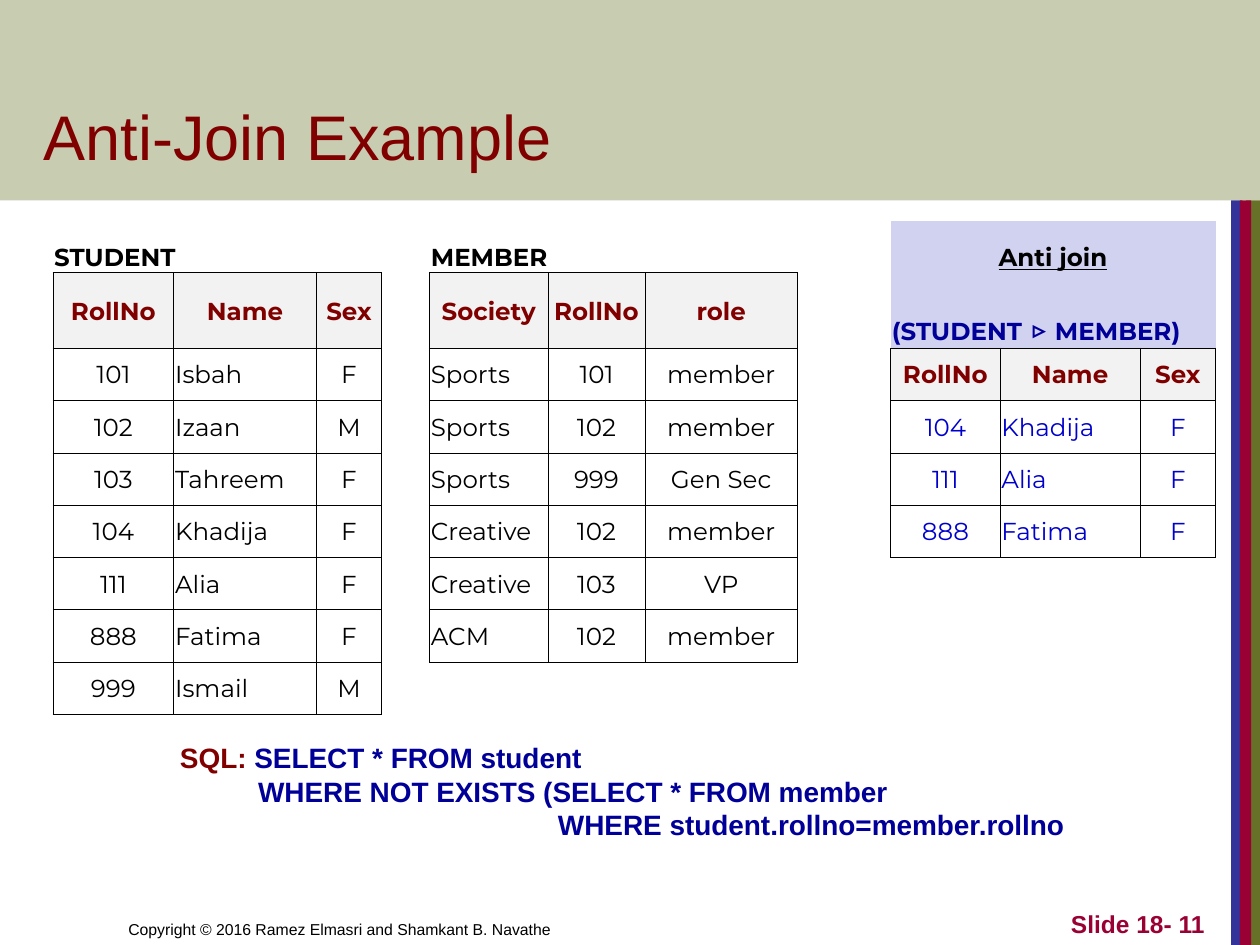
"""Build the Anti-Join Example slide with its relations and SQL query."""
from dataclasses import dataclass
from typing import NamedTuple, Optional

from lxml.etree import SubElement
from pptx import Presentation
from pptx.dml.color import RGBColor
from pptx.enum.shapes import MSO_SHAPE
from pptx.enum.text import MSO_ANCHOR, MSO_AUTO_SIZE, PP_ALIGN
from pptx.oxml.ns import qn
from pptx.util import Inches, Pt


@dataclass(frozen=True)
class Theme:
    sans: str = "Arial"
    table_font: str = "Montserrat"
    title_size: float = 36
    sql_size: float = 16
    table_size: float = 14
    symbol_size: float = 18
    footer_size: float = 9
    black: str = "000000"
    maroon: str = "800000"
    navy: str = "000099"
    blue: str = "0000CC"
    olive: str = "677228"
    indigo: str = "333399"
    crimson: str = "990033"
    header_fill: str = "F2F2F2"
    join_fill: str = "D1D1F0"


THEME = Theme()


class Run(NamedTuple):
    text: str
    color: str = THEME.black
    size: float = THEME.table_size
    font: str = THEME.table_font
    bold: bool = False
    underline: bool = False


class Line(NamedTuple):
    runs: list
    indent: float = 0
    align: PP_ALIGN = PP_ALIGN.LEFT


class Box(NamedTuple):
    left: float
    top: float
    width: float
    height: float


class Bar(NamedTuple):
    box: Box
    color: str
    alpha: int = 100


@dataclass
class Relation:
    col: int
    captions: list
    header: list
    rows: list
    left_col: int
    color: str = THEME.black
    caption_fill: Optional[str] = None
    bottom_width: float = 0.5


BARS = [
    Bar(Box(9.89, 1.59, 0.11, 5.91), THEME.olive),
    Bar(Box(9.77, 1.59, 0.09, 5.91), THEME.indigo),
    Bar(Box(9.84, 1.59, 0.09, 5.91), THEME.crimson),
    Bar(Box(0, 0, 10, 1.59), THEME.olive, 36),
]
TABLE_BOX = Box(0.42, 1.75, 9.25, 3.92)
COL_WIDTHS = [0.96, 1.13, 0.52, 0.38, 0.94, 0.77, 1.21, 0.74, 0.87, 1.11, 0.6]
ROW_COUNT, HEADER_ROW, HEADER_HEIGHT = 9, 1, 0.6
NO_STYLE = "{2D5ABB26-0587-4C30-8999-92F81FD0307C}"

RELATIONS = [
    Relation(0, [Line([Run("STUDENT", bold=True)])], ["RollNo", "Name", "Sex"],
             [("101", "Isbah", "F"), ("102", "Izaan", "M"), ("103", "Tahreem", "F"),
              ("104", "Khadija", "F"), ("111", "Alia", "F"), ("888", "Fatima", "F"),
              ("999", "Ismail", "M")], left_col=1),
    Relation(4, [Line([Run("MEMBER", bold=True)])], ["Society", "RollNo", "role"],
             [("Sports", "101", "member"), ("Sports", "102", "member"),
              ("Sports", "999", "Gen Sec"), ("Creative", "102", "member"),
              ("Creative", "103", "VP"), ("ACM", "102", "member")], left_col=0),
    Relation(8, [Line([Run("Anti join", bold=True, underline=True)], align=PP_ALIGN.CENTER),
                 Line([Run("(STUDENT ", THEME.navy, bold=True),
                       Run("▷", THEME.navy, THEME.symbol_size, bold=True),
                       Run(" MEMBER)", THEME.navy, bold=True)])],
             ["RollNo", "Name", "Sex"],
             [("104", "Khadija", "F"), ("111", "Alia", "F"), ("888", "Fatima", "F")],
             left_col=1, color=THEME.blue, caption_fill=THEME.join_fill, bottom_width=1),
]


def sql(text: str, color: str = THEME.navy) -> Run:
    return Run(text, color, THEME.sql_size, THEME.sans, True)


def write_lines(tf, lines: list[Line]) -> None:
    for i, line in enumerate(lines):
        p = tf.add_paragraph() if i else tf.paragraphs[0]
        p.alignment = line.align
        if line.indent:
            p._p.get_or_add_pPr().set("marL", str(Inches(line.indent)))
        for run in line.runs:
            r = p.add_run()
            r.text = run.text
            r.font.name, r.font.size = run.font, Pt(run.size)
            r.font.bold, r.font.underline = run.bold, run.underline
            r.font.color.rgb = RGBColor.from_string(run.color)


def add_bar(s, bar: Bar) -> None:
    sp = s.shapes.add_shape(MSO_SHAPE.RECTANGLE, *map(Inches, bar.box))
    sp.shadow.inherit = False
    sp.line.fill.background()
    sp.fill.solid()
    sp.fill.fore_color.rgb = RGBColor.from_string(bar.color)
    if bar.alpha < 100:
        clr = sp._element.spPr.find(qn("a:solidFill")).find(qn("a:srgbClr"))
        SubElement(clr, qn("a:alpha")).set("val", str(bar.alpha * 1000))


def add_text(s, box: Box, lines: list[Line], anchor=MSO_ANCHOR.BOTTOM, grow=False) -> None:
    tf = s.shapes.add_textbox(*map(Inches, box)).text_frame
    tf.word_wrap = True
    tf.vertical_anchor = anchor
    if grow:
        tf.auto_size = MSO_AUTO_SIZE.SHAPE_TO_FIT_TEXT
    write_lines(tf, lines)


def set_borders(cell, bottom: float = 0.5) -> None:
    tc_pr = cell._tc.get_or_add_tcPr()
    for side, width in (("L", 0.5), ("R", 0.5), ("T", 0.5), ("B", bottom)):
        ln = SubElement(tc_pr, qn(f"a:ln{side}"), w=str(Pt(width)))
        fill = SubElement(ln, qn("a:solidFill"))
        SubElement(fill, qn("a:srgbClr"), val=THEME.black)


def fill_cell(cell, line: Line, fill: Optional[str], anchor=MSO_ANCHOR.MIDDLE) -> None:
    cell.vertical_anchor = anchor
    if fill:
        cell.fill.solid()
        cell.fill.fore_color.rgb = RGBColor.from_string(fill)
    write_lines(cell.text_frame, [line])


def draw_relation(table, rel: Relation) -> None:
    for i, caption in enumerate(rel.captions):
        cell = table.cell(i, rel.col)
        cell.merge(table.cell(i, rel.col + 2))
        fill_cell(cell, caption, rel.caption_fill, MSO_ANCHOR.BOTTOM)
    first = len(rel.captions)
    for i, values in enumerate([rel.header, *rel.rows]):
        head, last = i == 0, i == len(rel.rows)
        for j, value in enumerate(values):
            cell = table.cell(first + i, rel.col + j)
            set_borders(cell, rel.bottom_width if last else 0.5)
            left = j == rel.left_col and not head
            run = Run(value, THEME.maroon if head else rel.color, bold=head)
            fill_cell(cell, Line([run], align=PP_ALIGN.LEFT if left else PP_ALIGN.CENTER),
                      THEME.header_fill if head else None)


def add_relations(s) -> None:
    frame = s.shapes.add_table(ROW_COUNT, len(COL_WIDTHS), *map(Inches, TABLE_BOX))
    table = frame.table
    table.first_row = table.horz_banding = False
    table._tbl.tblPr.find(qn("a:tableStyleId")).text = NO_STYLE
    for col, width in zip(table.columns, COL_WIDTHS):
        col.width = Inches(width)
    row_height = (TABLE_BOX.height - HEADER_HEIGHT) / (ROW_COUNT - 1)
    for i, row in enumerate(table.rows):
        row.height = Inches(HEADER_HEIGHT if i == HEADER_ROW else row_height)
    for cell in table.iter_cells():
        cell.margin_left = cell.margin_right = cell.margin_top = Inches(0.01)
        cell.margin_bottom = 0
    for rel in RELATIONS:
        draw_relation(table, rel)
    table.cell(8, 4).merge(table.cell(8, 6))


def main() -> None:
    prs = Presentation()
    prs.slide_width, prs.slide_height = Inches(10), Inches(7.5)
    s = prs.slides.add_slide(prs.slide_layouts[6])
    for bar in BARS:
        add_bar(s, bar)
    add_text(s, Box(0.92, 7, 4.92, 0.5), [Line([Run(
        "Copyright © 2016 Ramez Elmasri and Shamkant B. Navathe",
        size=THEME.footer_size, font=THEME.sans)])])
    add_text(s, Box(0.25, 0.33, 8.53, 1.09), [Line([Run(
        "Anti-Join Example", THEME.maroon, THEME.title_size, THEME.sans)])])
    add_text(s, Box(7.58, 7, 2.08, 0.5), [Line([Run(
        "Slide 18- 11", THEME.crimson, THEME.table_size, THEME.sans, True)],
        align=PP_ALIGN.RIGHT)])
    add_relations(s)
    add_text(s, Box(1.33, 5.83, 7.75, 0.91), [
        Line([sql("SQL:", THEME.maroon), sql(" SELECT * FROM student")]),
        Line([sql("WHERE NOT EXISTS (SELECT * FROM member")], indent=0.62),
        Line([sql("WHERE student.rollno=member.rollno")], indent=3),
    ], MSO_ANCHOR.TOP, grow=True)
    prs.save("out.pptx")


if __name__ == "__main__":
    main()
